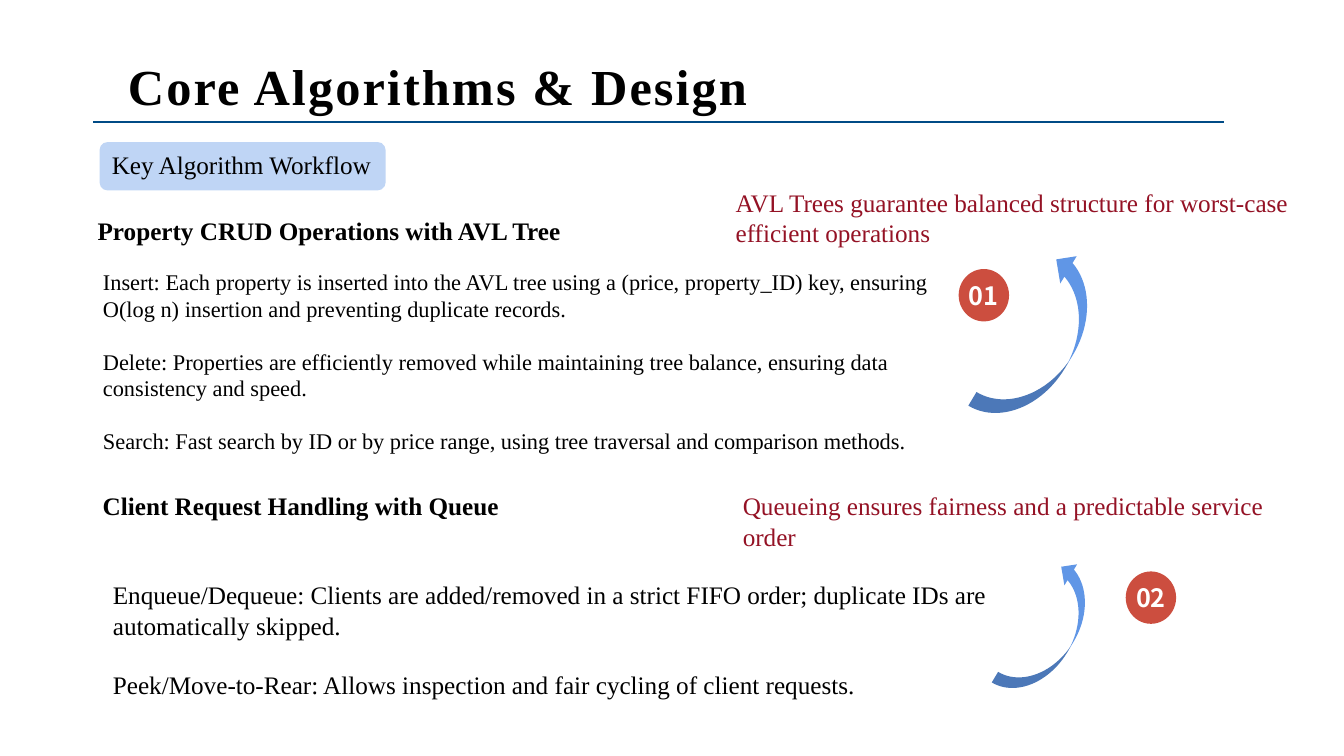
from dataclasses import dataclass

from lxml.etree import SubElement
from pptx import Presentation
from pptx.dml.color import RGBColor
from pptx.enum.shapes import MSO_CONNECTOR, MSO_SHAPE
from pptx.enum.text import MSO_ANCHOR as Anchor, MSO_AUTO_SIZE as AutoSize, PP_ALIGN as Align
from pptx.oxml.ns import qn
from pptx.shapes.autoshape import Shape
from pptx.slide import Slide
from pptx.util import Cm, Pt


@dataclass(frozen=True)
class Theme:
    serif: str = "Times New Roman"
    sans: str = "Noto Sans CJK SC"
    black: str = "000000"
    white: str = "FFFFFF"
    note: str = "941225"
    rule: str = "004B86"
    label: str = "BFD5F5"
    arrow: str = "6096E6"
    badge: str = "CC4E3F"
    title_size: int = 36
    text_size: int = 18
    small_size: int = 16


THEME = Theme()


@dataclass(frozen=True)
class Box:
    """Left, top, width and height in centimetres."""
    left: float
    top: float
    width: float
    height: float


@dataclass(frozen=True)
class TextStyle:
    size: int = THEME.text_size
    color: str = THEME.black
    bold: bool = False
    font: str = THEME.serif
    align: Align = Align.LEFT


@dataclass(frozen=True)
class Section:
    heading: str
    heading_box: Box
    items: list[str]
    items_box: Box
    items_size: int
    note: str
    note_box: Box
    arrow_box: Box
    number: str
    badge_box: Box


HEADING = TextStyle(bold=True)
NOTE = TextStyle(color=THEME.note)
NUMBER = TextStyle(color=THEME.white, bold=True, font=THEME.sans, align=Align.CENTER)
ARROW_TURN = 211
LINE_HEIGHT = 1.15  # one line of the serif font, relative to its size

SECTIONS = [
    Section(
        "Property CRUD Operations with AVL Tree", Box(2.21, 5.31, 16.94, 1.02),
        ["Insert: Each property is inserted into the AVL tree using a (price, property_ID) key, "
         "ensuring O(log n) insertion and preventing duplicate records.",
         "Delete: Properties are efficiently removed while maintaining tree balance, "
         "ensuring data consistency and speed.",
         "Search: Fast search by ID or by price range, using tree traversal and comparison methods."],
        Box(2.34, 6.63, 21.46, 5.03), THEME.small_size,
        "AVL Trees guarantee balanced structure for worst-case efficient operations",
        Box(18.29, 4.6, 14.63, 1.8),
        Box(25.5, 6.27, 1.6, 4.7), "01", Box(24.16, 6.78, 1.27, 1.32)),
    Section(
        "Client Request Handling with Queue", Box(2.34, 12.24, 16.94, 1.02),
        ["Enqueue/Dequeue: Clients are added/removed in a strict FIFO order; "
         "duplicate IDs are automatically skipped.",
         "Peek/Move-to-Rear: Allows inspection and fair cycling of client requests."],
        Box(2.59, 14.48, 24.46, 3.33), THEME.text_size,
        "Queueing ensures fairness and a predictable service order",
        Box(18.47, 12.24, 14.71, 1.8),
        Box(25.86, 14.07, 1.24, 3.71), "02", Box(28.37, 14.4, 1.27, 1.32)),
]


def place(shape: Shape, box: Box) -> None:
    shape.left, shape.top = Cm(box.left), Cm(box.top)
    shape.width, shape.height = Cm(box.width), Cm(box.height)


def write(shape: Shape, lines: list[str], style: TextStyle,
          wrap: bool = True, anchor: Anchor = Anchor.TOP) -> None:
    frame = shape.text_frame
    frame.text = "\n".join(lines)
    frame.auto_size = AutoSize.NONE
    frame.word_wrap = wrap
    frame.vertical_anchor = anchor
    for para in frame.paragraphs:
        para.alignment = style.align
        para.space_before = Pt(0)
        para.font.name = style.font
        para.font.size = Pt(style.size)
        para.font.bold = style.bold
        para.font.color.rgb = RGBColor.from_string(style.color)


def add_text(page: Slide, text: str, box: Box, style: TextStyle) -> None:
    shape = page.shapes.add_textbox(0, 0, 0, 0)
    place(shape, box)
    write(shape, [text], style)


def add_filled(page: Slide, kind: MSO_SHAPE, box: Box, color: str) -> Shape:
    shape = page.shapes.add_shape(kind, 0, 0, 0, 0)
    place(shape, box)
    shape.shadow.inherit = False
    shape.fill.solid()
    shape.fill.fore_color.rgb = RGBColor.from_string(color)
    shape.line.fill.background()
    return shape


def fill_list(body: Shape, section: Section) -> None:
    place(body, section.items_box)
    write(body, section.items, TextStyle(size=section.items_size))
    for para in body.text_frame.paragraphs:
        para.space_after = Pt(round(section.items_size * LINE_HEIGHT, 1))
        # No bullet and no hanging indent
        properties = para._p.get_or_add_pPr()
        properties.set("marL", "0")
        properties.set("indent", "0")
        bullet = SubElement(properties, qn("a:buNone"))
        properties.find(qn("a:defRPr")).addprevious(bullet)


def add_section(page: Slide, body: Shape, section: Section) -> None:
    add_text(page, section.heading, section.heading_box, HEADING)
    fill_list(body, section)
    add_text(page, section.note, section.note_box, NOTE)
    arrow = add_filled(page, MSO_SHAPE.CURVED_RIGHT_ARROW, section.arrow_box, THEME.arrow)
    arrow.rotation = ARROW_TURN
    badge = add_filled(page, MSO_SHAPE.OVAL, section.badge_box, THEME.badge)
    write(badge, [section.number], NUMBER, wrap=False, anchor=Anchor.MIDDLE)


def add_header(page: Slide) -> None:
    # Title
    title = page.shapes.title
    place(title, Box(2.97, 1.27, 16.18, 3.33))
    write(title, ["Core Algorithms & Design"],
          TextStyle(size=THEME.title_size, bold=True), wrap=False)
    span = title.text_frame.paragraphs[0].runs[0]
    span._r.get_or_add_rPr().set("spc", "150")

    # Rule under the title
    rule = page.shapes.add_connector(
        MSO_CONNECTOR.STRAIGHT, Cm(30.84), Cm(3.07), Cm(2.34), Cm(3.07))
    rule.line.color.rgb = RGBColor.from_string(THEME.rule)
    rule.line.width = Pt(1.5)
    SubElement(rule._element.spPr, qn("a:effectLst"))

    # Topic label
    label = add_filled(page, MSO_SHAPE.ROUNDED_RECTANGLE, Box(2.51, 3.58, 7.21, 1.22), THEME.label)
    write(label, ["Key Algorithm Workflow"], TextStyle(), wrap=False)
    label.text_frame.margin_left = Cm(0.25)


def main() -> None:
    deck = Presentation()
    deck.slide_width, deck.slide_height = Cm(33.87), Cm(19.05)
    two_content = deck.slide_layouts[3]
    page = deck.slides.add_slide(two_content)
    add_header(page)
    for index, section in enumerate(SECTIONS, start=1):
        add_section(page, page.placeholders[index], section)
    deck.save("out.pptx")


if __name__ == "__main__":
    main()
